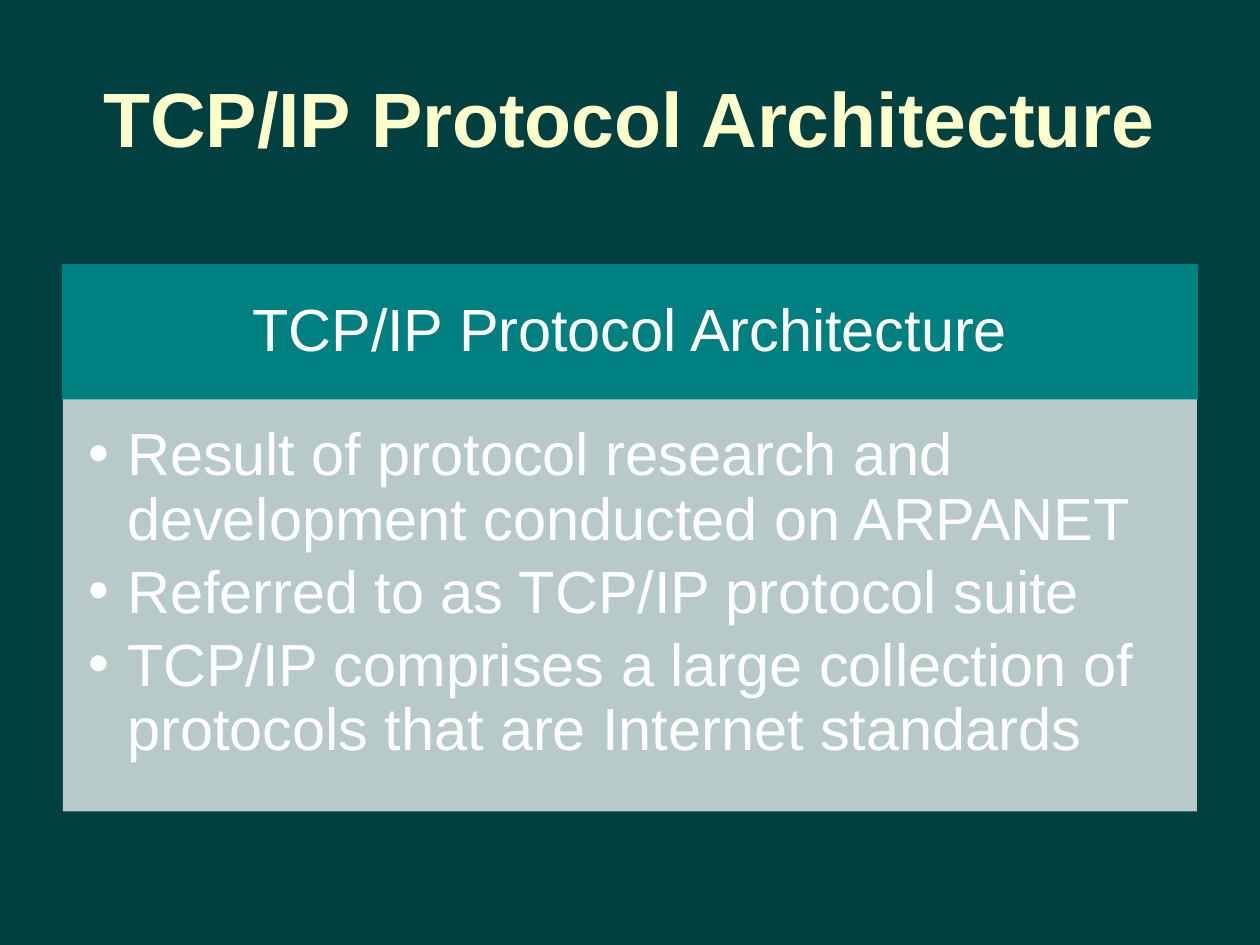
from lxml.etree import SubElement
from pptx import Presentation
from pptx.dml.color import RGBColor
from pptx.enum.shapes import MSO_SHAPE
from pptx.enum.text import MSO_ANCHOR, PP_ALIGN
from pptx.oxml.ns import qn
from pptx.util import Inches, Pt

HEADING = "TCP/IP Protocol Architecture"
POINTS = [
    "Result of protocol research and development conducted on ARPANET",
    "Referred to as TCP/IP protocol suite",
    "TCP/IP comprises a large collection of protocols that are Internet standards",
]
LEFT, WIDTH = 0.5, 9
HEADER_TOP, HEADER_HEIGHT, BODY_HEIGHT = 2.1, 1.07, 3.27


def color(value):
    return RGBColor.from_string(value)


def apply_format(target, values):
    for name, value in values.items():
        setattr(target, name, value)


class SlideBuilder:
    font_name = "Arial"
    text_color = "FFFFFF"
    text_size = 34

    def __init__(self, deck, background):
        self.slide = deck.slides.add_slide(deck.slide_layouts[5])
        fill = self.slide.background.fill
        fill.solid()
        fill.fore_color.rgb = color(background)

    def place(self, shape, left, top, width, height):
        apply_format(shape, {
            "left": Inches(left), "top": Inches(top),
            "width": Inches(width), "height": Inches(height),
        })

    def add_text(self, para, text, size=text_size, fill=text_color, bold=False):
        span = para.add_run()
        span.text = text
        apply_format(span.font, {"name": self.font_name, "size": Pt(size), "bold": bold})
        span.font.color.rgb = color(fill)

    def title(self, text, left, top, width, height):
        box = self.slide.shapes.title
        self.place(box, left, top, width, height)
        apply_format(box.text_frame, {"word_wrap": True, "vertical_anchor": MSO_ANCHOR.MIDDLE})
        para = box.text_frame.paragraphs[0]
        para.alignment = PP_ALIGN.CENTER
        self.add_text(para, text, size=44, fill="FFFFCC", bold=True)

    def panel(self, left, top, width, height, fill, margins, anchor, line=None, opacity=100):
        box = self.slide.shapes.add_shape(
            MSO_SHAPE.RECTANGLE, Inches(left), Inches(top), Inches(width), Inches(height))
        box.shadow.inherit = False
        box.fill.solid()
        box.fill.fore_color.rgb = color(fill)
        if opacity < 100:
            shade = box._element.spPr.find(qn("a:solidFill"))[0]
            SubElement(shade, qn("a:alpha"), val=str(opacity * 1000))
        if line:
            box.line.color.rgb = color(line)
            box.line.width = Pt(0.75)
        else:
            box.line.fill.background()
        sides = ("margin_left", "margin_top", "margin_right", "margin_bottom")
        apply_format(box.text_frame, {
            "word_wrap": True, "vertical_anchor": anchor,
            **{side: Inches(margin) for side, margin in zip(sides, margins)},
        })
        return box.text_frame

    def paragraphs(self, frame, texts, alignment, space_after, bullet=None):
        for index, text in enumerate(texts):
            para = frame.add_paragraph() if index else frame.paragraphs[0]
            apply_format(para, {
                "alignment": alignment, "line_spacing": 0.9, "space_after": Pt(space_after),
            })
            if bullet:
                self.bullet(para, bullet)
            self.add_text(para, text)

    def bullet(self, para, character):
        para.level = 1
        properties = para._p.get_or_add_pPr()
        properties.set("marL", str(Inches(0.31)))
        properties.set("indent", str(Inches(-0.31)))
        SubElement(properties, qn("a:buFont"), typeface=self.font_name)
        SubElement(properties, qn("a:buChar"), char=character)


def main():
    deck = Presentation()
    deck.slide_width, deck.slide_height = Inches(10), Inches(7.5)
    page = SlideBuilder(deck, "004040")
    page.title(HEADING, LEFT, 0.3, WIDTH, 1.25)
    header = page.panel(
        LEFT, HEADER_TOP, WIDTH, HEADER_HEIGHT, "008080",
        (0.26, 0.15, 0.26, 0.15), MSO_ANCHOR.MIDDLE, line="008080")
    page.paragraphs(header, [HEADING], PP_ALIGN.CENTER, 12)
    body = page.panel(
        LEFT, HEADER_TOP + HEADER_HEIGHT, WIDTH, BODY_HEIGHT, "CCD8D8",
        (0.2, 0.2, 0.26, 0.3), MSO_ANCHOR.TOP, opacity=90)
    page.paragraphs(body, POINTS, PP_ALIGN.LEFT, 5, bullet="•")
    deck.save("out.pptx")


if __name__ == "__main__":
    main()
